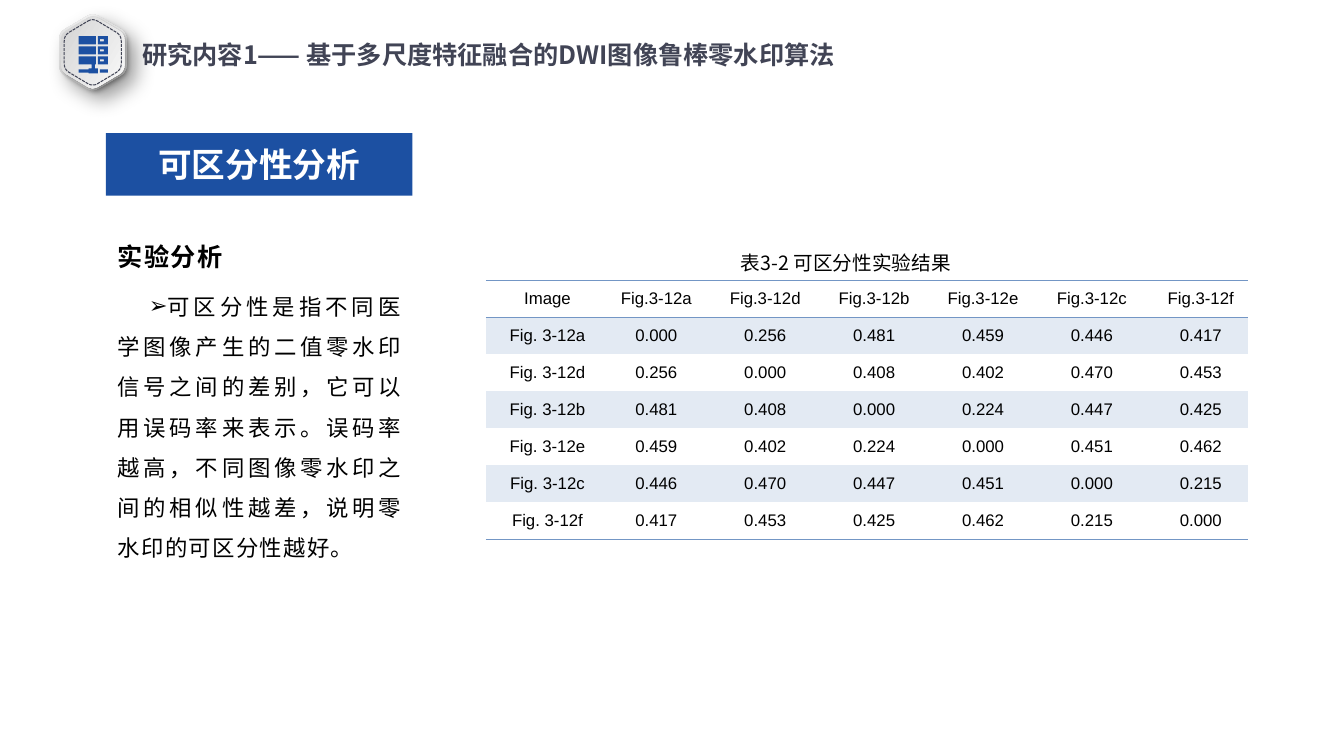
import math

from lxml import etree
from pptx import Presentation
from pptx import util as u
from pptx.dml.color import RGBColor
from pptx.enum import dml, shapes, text
from pptx.oxml.ns import qn

CJK_FONT = "Noto Sans CJK SC"
BLUE, SLATE, BLACK, WHITE = "1C50A2", "414455", "000000", "FFFFFF"
TABLE_LINE, TABLE_BAND = "7396C5", "E3EAF3"
NO_TABLE_STYLE = "{2D5ABB26-0587-4C30-8999-92F81FD0307C}"

RESULTS = [
    ["Image", "Fig.3-12a", "Fig.3-12d", "Fig.3-12b", "Fig.3-12e", "Fig.3-12c", "Fig.3-12f"],
    ["Fig. 3-12a", "0.000", "0.256", "0.481", "0.459", "0.446", "0.417"],
    ["Fig. 3-12d", "0.256", "0.000", "0.408", "0.402", "0.470", "0.453"],
    ["Fig. 3-12b", "0.481", "0.408", "0.000", "0.224", "0.447", "0.425"],
    ["Fig. 3-12e", "0.459", "0.402", "0.224", "0.000", "0.451", "0.462"],
    ["Fig. 3-12c", "0.446", "0.470", "0.447", "0.451", "0.000", "0.215"],
    ["Fig. 3-12f", "0.417", "0.453", "0.425", "0.462", "0.215", "0.000"],
]


def color(value):
    return RGBColor.from_string(value)


def add_element(parent, tag, **attributes):
    element = etree.SubElement(parent, qn(tag))
    for name, value in attributes.items():
        element.set(name, str(value))
    return element


def write(paragraph, content, size=18, fill=BLACK, bold=False, font=CJK_FONT,
          align=text.PP_ALIGN.LEFT, line_spacing=None, before=0, tracking=None,
          margin=None, indent=None, bullet=None):
    properties = paragraph._p.get_or_add_pPr()
    if margin is not None:
        properties.set("marL", str(u.Inches(margin)))
    if indent is not None:
        properties.set("indent", str(u.Inches(indent)))
    if bullet:
        add_element(properties, "a:buFont", typeface="Arial")
        add_element(properties, "a:buChar", char=bullet)
    paragraph.alignment = align
    paragraph.space_before = u.Pt(before)
    if line_spacing:
        paragraph.line_spacing = line_spacing
    run = paragraph.add_run()
    run.text = content
    run.font.size, run.font.bold, run.font.name = u.Pt(size), bold, font
    run.font.color.rgb = color(fill)
    run_properties = run._r.get_or_add_rPr()
    add_element(run_properties, "a:ea", typeface=CJK_FONT)
    if tracking:
        run_properties.set("spc", str(tracking * 100))


def add_text_box(slide, left, top, width, height):
    box = slide.shapes.add_textbox(*map(u.Inches, (left, top, width, height)))
    box.text_frame.word_wrap = True
    return box.text_frame


def add_outline(slide, contours):
    contours = [[(u.Inches(x), u.Inches(y)) for x, y in contour] for contour in contours]
    builder = slide.shapes.build_freeform(*contours[0][0])
    for number, contour in enumerate(contours):
        if number:
            builder.move_to(*contour[0])
        builder.add_line_segments(contour[1:], close=True)
    shape = builder.convert_to_shape()
    shape.shadow.inherit = False
    return shape


def rounded_hexagon(left, top, width, height):
    """Points of an upright hexagon whose corners are quadratic curves."""
    center_x, center_y = left + width / 2, top + height / 2
    half_height = height / 2 * 1.06
    half_width = width / 2 * 1.01
    corners = [(0, -1), (1, -0.5), (1, 0.5), (0, 1), (-1, 0.5), (-1, -0.5)]
    corners = [(center_x + x * half_width, center_y + y * half_height) for x, y in corners]
    points = []
    for i, corner in enumerate(corners):
        start, end = [tuple(c + 0.17 * (n - c) for c, n in zip(corner, neighbour))
                      for neighbour in (corners[i - 1], corners[(i + 1) % 6])]
        for step in range(5):
            t = step / 4
            points.append(tuple((1 - t) ** 2 * a + 2 * t * (1 - t) * b + t * t * c
                                for a, b, c in zip(start, corner, end)))
    return points


def add_badge(slide, left, top, width, height):
    # Two shaded plates: inset, gradient angle, shadow blur and distance
    for inset, angle, blur, distance in ((0, 59, 15, 9), (0.02, 329, 4, 3)):
        plate = add_outline(slide, [rounded_hexagon(
            left + inset, top + inset, width - 2 * inset, height - 2 * inset)])
        plate.fill.gradient()
        plate.fill.gradient_angle = angle
        for stop, shade in zip(plate.fill.gradient_stops, ("D3D3D3", "F9F9F9")):
            stop.color.rgb = color(shade)
        plate.line.fill.background()
        effects = plate._element.spPr.find(qn("a:effectLst"))
        shadow = add_element(effects, "a:outerShdw", blurRad=u.Pt(blur), dist=u.Pt(distance),
                             dir=45 * 60000, algn="tl", rotWithShape=0)
        add_element(add_element(shadow, "a:srgbClr", val=BLACK), "a:alpha", val=40000)

    # Dashed stitching
    inset = 0.05
    stitching = add_outline(slide, [rounded_hexagon(
        left + inset, top + inset, width - 2 * inset, height - 2 * inset)])
    stitching.fill.background()
    stitching.line.color.rgb = color(SLATE)
    stitching.line.width = u.Pt(0.75)
    stitching.line.dash_style = dml.MSO_LINE.SQUARE_DOT

    # Server symbol: three units with a slot each, then the stand
    blocks = []
    for unit in range(3):
        y = unit * 0.1
        blocks += [(0, y, 0.17, 0.08), (0.19, y, 0.1, 0.08), (0.21, y + 0.03, 0.04, 0.02)]
    blocks += [(0.13, 0.28, 0.03, 0.04), (0.1, 0.32, 0.09, 0.05),
               (0, 0.33, 0.1, 0.03), (0.21, 0.33, 0.08, 0.03)]
    x0, y0 = left + 0.19, top + 0.21
    server = add_outline(slide, [
        [(x0 + x, y0 + y), (x0 + x + w, y0 + y), (x0 + x + w, y0 + y + h), (x0 + x, y0 + y + h)]
        for x, y, w, h in blocks])
    server.fill.solid()
    server.fill.fore_color.rgb = color(BLUE)
    server.line.fill.background()


def add_title(slide, left, top, width, height):
    title = slide.shapes.title
    title.left, title.top, title.width, title.height = map(u.Inches, (left, top, width, height))
    frame = title.text_frame
    frame.auto_size = text.MSO_AUTO_SIZE.NONE
    frame.vertical_anchor = text.MSO_ANCHOR.MIDDLE
    frame.margin_left = frame.margin_right = u.Inches(0.07)
    frame.margin_top = frame.margin_bottom = u.Inches(0.04)
    write(frame.paragraphs[0], "研究内容1—— 基于多尺度特征融合的DWI图像鲁棒零水印算法",
          fill=SLATE, bold=True)


def add_section_banner(slide, left, top, width, height):
    banner = slide.shapes.add_shape(shapes.MSO_SHAPE.RECTANGLE,
                                    *map(u.Inches, (left, top, width, height)))
    banner.shadow.inherit = False
    banner.fill.solid()
    banner.fill.fore_color.rgb = color(BLUE)
    banner.line.fill.background()
    banner.text_frame.vertical_anchor = text.MSO_ANCHOR.MIDDLE
    write(banner.text_frame.paragraphs[0], "可区分性分析", size=24, fill=WHITE, bold=True,
          font="Arial", align=text.PP_ALIGN.CENTER)


def add_analysis(slide, left, top, width, height):
    frame = add_text_box(slide, left, top, width, height)
    shared = dict(align=text.PP_ALIGN.JUSTIFY, line_spacing=1.5, tracking=1, margin=0.31)
    write(frame.paragraphs[0], "实验分析", bold=True, indent=0, **shared)
    write(frame.add_paragraph(),
          "可区分性是指不同医学图像产生的二值零水印信号之间的差别，它可以用误码率来表示。"
          "误码率越高，不同图像零水印之间的相似性越差，说明零水印的可区分性越好。",
          size=16, before=6, indent=0.31, bullet="➢", **shared)


def add_results(slide, left, top, width, height):
    # Caption above the table
    caption = add_text_box(slide, left + 2.43, top - 0.34, 2.39, 0.34)
    write(caption.paragraphs[0], "表3-2 可区分性实验结果", size=14)

    # Table with banded rows and horizontal rules
    frame = slide.shapes.add_table(len(RESULTS), len(RESULTS[0]),
                                   *map(u.Inches, (left, top, width, height)))
    table = frame.table
    table.first_row = table.horz_banding = False
    table._tbl.tblPr.find(qn("a:tableStyleId")).text = NO_TABLE_STYLE
    last = len(RESULTS) - 1
    for r, row in enumerate(RESULTS):
        rules = {0: ("a:lnT", "a:lnB"), last: ("a:lnB",)}.get(r, ())
        for c, value in enumerate(row):
            cell = table.cell(r, c)
            cell.margin_left = cell.margin_right = u.Inches(0.07)
            cell.margin_top = cell.margin_bottom = 0
            write(cell.text_frame.paragraphs[0], value, size=12, font="Arial",
                  align=text.PP_ALIGN.CENTER, line_spacing=1.5, margin=0, indent=0.14)
            for tag in rules:
                line = add_element(cell._tc.get_or_add_tcPr(), tag, w=u.Pt(1))
                add_element(add_element(line, "a:solidFill"), "a:srgbClr", val=TABLE_LINE)
            if r % 2:
                cell.fill.solid()
                cell.fill.fore_color.rgb = color(TABLE_BAND)
            else:
                cell.fill.background()


def main():
    presentation = Presentation()
    presentation.slide_width, presentation.slide_height = u.Inches(13.33), u.Inches(7.5)
    slide = presentation.slides.add_slide(presentation.slide_layouts[5])
    add_badge(slide, 0.59, 0.15, 0.66, 0.74)
    add_section_banner(slide, 1.05, 1.32, 3.04, 0.62)
    add_analysis(slide, 0.76, 2.19, 3.33, 3.42)
    add_title(slide, 1.34, 0.35, 8.6, 0.38)
    add_results(slide, 4.82, 2.78, 7.56, 2.57)
    presentation.save("out.pptx")


if __name__ == "__main__":
    main()
